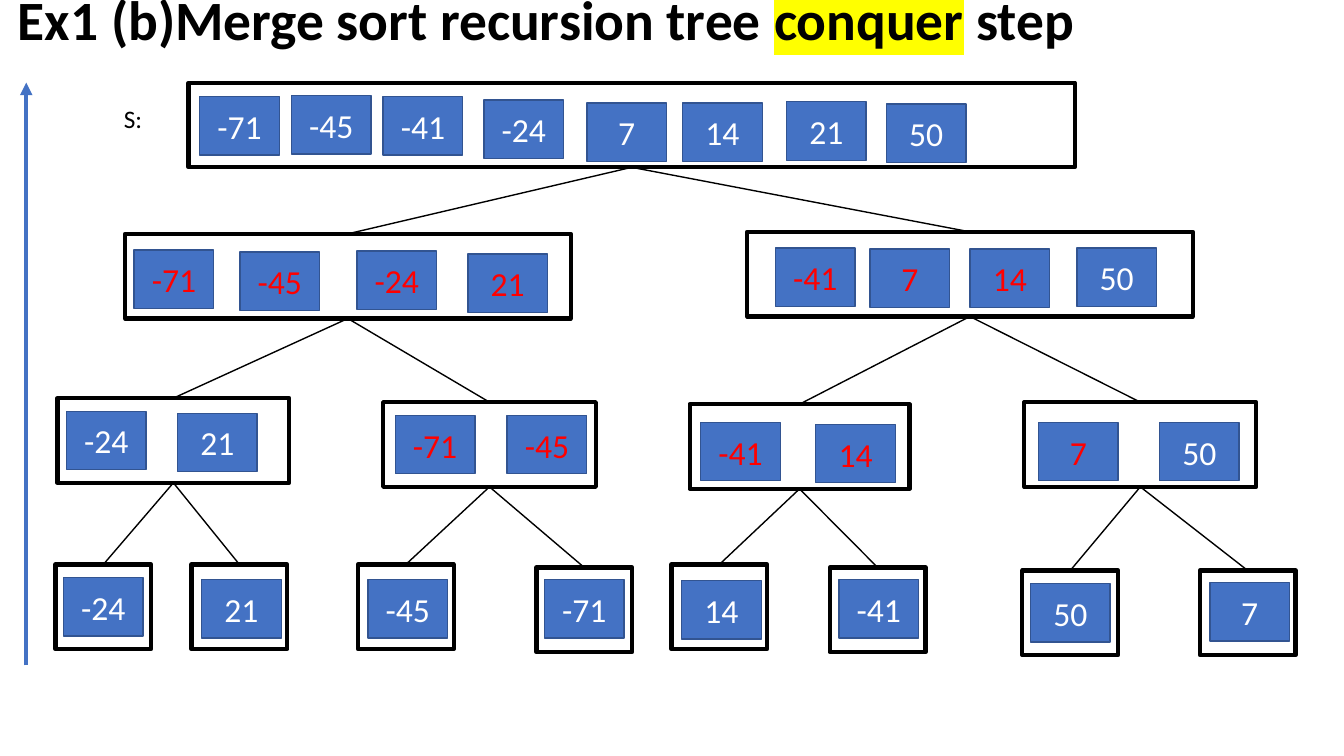
from lxml import etree
from pptx import Presentation
from pptx.dml.color import RGBColor
from pptx.enum import shapes, text
from pptx.oxml import ns
from pptx.util import Inches, Pt

FONT = "Calibri"
HEX = {"ink": "000000", "tile": "4472C4", "edge": "325491",
       "plain": "FFFFFF", "moved": "FF0000", "mark": "FFFF00"}
TITLE = [("Ex1 (b)Merge sort recursion tree ", False),
         ("conquer", True), (" step", False)]
BOX_H, TILE_W, TILE_H = 0.84, 0.79, 0.58

# Tree in heap order: box left, top, width; count of leading red tiles;
# tiles as (value, left, top). Node i has children 2i + 1 and 2i + 2.
NODES = [
    (1.87, 0.82, 8.79, 0, [
        ("-71", 1.98, 0.96), ("-45", 2.89, 0.95), ("-41", 3.8, 0.96),
        ("-24", 4.8, 0.99), ("7", 5.82, 1.02), ("14", 6.77, 1.02),
        ("21", 7.8, 1.01), ("50", 8.79, 1.03)]),
    (1.24, 2.32, 4.42, 4, [
        ("-71", 1.33, 2.48), ("-45", 2.38, 2.5),
        ("-24", 3.54, 2.49), ("21", 4.64, 2.52)]),
    (7.41, 2.3, 4.42, 3, [
        ("-41", 7.69, 2.46), ("7", 8.63, 2.47),
        ("14", 9.62, 2.47), ("50", 10.68, 2.46)]),
    (0.57, 3.95, 2.3, 0, [("-24", 0.66, 4.08), ("21", 1.76, 4.1)]),
    (3.8, 3.99, 2.11, 2, [("-71", 3.92, 4.12), ("-45", 5.03, 4.12)]),
    (6.84, 4.01, 2.18, 2, [("-41", 6.95, 4.19), ("14", 8.09, 4.21)]),
    (10.16, 3.99, 2.3, 1, [("7", 10.3, 4.19), ("50", 11.5, 4.19)]),
    (0.55, 5.6, 0.95, 0, [("-24", 0.63, 5.73)]),
    (1.9, 5.6, 0.95, 0, [("21", 2, 5.75)]),
    (3.55, 5.6, 0.95, 0, [("-45", 3.65, 5.75)]),
    (5.32, 5.63, 0.95, 0, [("-71", 5.4, 5.75)]),
    (6.66, 5.6, 0.95, 0, [("14", 6.76, 5.76)]),
    (8.23, 5.63, 0.95, 0, [("-41", 8.32, 5.75)]),
    (10.14, 5.66, 0.95, 0, [("50", 10.22, 5.79)]),
    (11.9, 5.66, 0.95, 0, [("7", 12, 5.78)]),
]

deck = Presentation()
deck.slide_width, deck.slide_height = Inches(13.33), Inches(7.5)
slide = deck.slides.add_slide(deck.slide_layouts[6])


def color(name):
    return RGBColor.from_string(HEX[name])


def style(run, size, ink, bold=False):
    font = run.font
    font.name, font.size, font.bold = FONT, Pt(size), bold
    font.color.rgb = color(ink)


def stroke(item, ink, width):
    item.line.color.rgb = color(ink)
    item.line.width = Pt(width)


def rect(x, y, w, h, ink, width):
    item = slide.shapes.add_shape(shapes.MSO_SHAPE.RECTANGLE,
                                  *map(Inches, (x, y, w, h)))
    item.shadow.inherit = False
    stroke(item, ink, width)
    return item


def link(start, end, ink="ink", width=1):
    item = slide.shapes.add_connector(shapes.MSO_CONNECTOR.STRAIGHT,
                                      *map(Inches, (*start, *end)))
    stroke(item, ink, width)
    etree.SubElement(item._element.spPr, ns.qn("a:effectLst"))
    return item


def label(x, y, w, h):
    frame = slide.shapes.add_textbox(*map(Inches, (x, y, w, h))).text_frame
    frame.word_wrap = True
    return frame


# Title with the marked word
frame = label(0.08, -0.02, 11.12, 0.48)
frame.vertical_anchor = text.MSO_ANCHOR.MIDDLE
para = frame.paragraphs[0]
para.line_spacing = 0.9
for words, marked in TITLE:
    run = para.add_run()
    run.text = words
    style(run, 39.6, "ink", True)
    if marked:
        glow = etree.Element(ns.qn("a:highlight"))
        etree.SubElement(glow, ns.qn("a:srgbClr"), val=HEX["mark"])
        run.font._element.find(ns.qn("a:solidFill")).addnext(glow)

# Name of the sequence
frame = label(1.13, 0.98, 0.64, 0.4)
frame.text = "S:"
style(frame.paragraphs[0].runs[0], 18, "ink")

# Upward arrow
arrow = link((0.26, 6.6), (0.26, 0.82), "tile", 3)
etree.SubElement(arrow.line._get_or_add_ln(), ns.qn("a:tailEnd"),
                 type="triangle")

# Node boxes
for x, y, w, _, _ in NODES:
    rect(x, y, w, BOX_H, "ink", 3).fill.background()

# Branches from each parent to its child
for i, (x, y, w, _, _) in enumerate(NODES[1:], 1):
    px, py, pw, _, _ = NODES[(i - 1) // 2]
    link((px + pw / 2, py + BOX_H), (x + w / 2, y))

# Number tiles
for _, _, _, reds, tiles in NODES:
    for n, (value, x, y) in enumerate(tiles):
        tile = rect(x, y, TILE_W, TILE_H, "edge", 1)
        tile.fill.solid()
        tile.fill.fore_color.rgb = color("tile")
        frame = tile.text_frame
        frame.text = value
        frame.vertical_anchor = text.MSO_ANCHOR.MIDDLE
        para = frame.paragraphs[0]
        para.alignment = text.PP_ALIGN.CENTER
        style(para.runs[0], 24, "moved" if n < reds else "plain")

deck.save("out.pptx")
